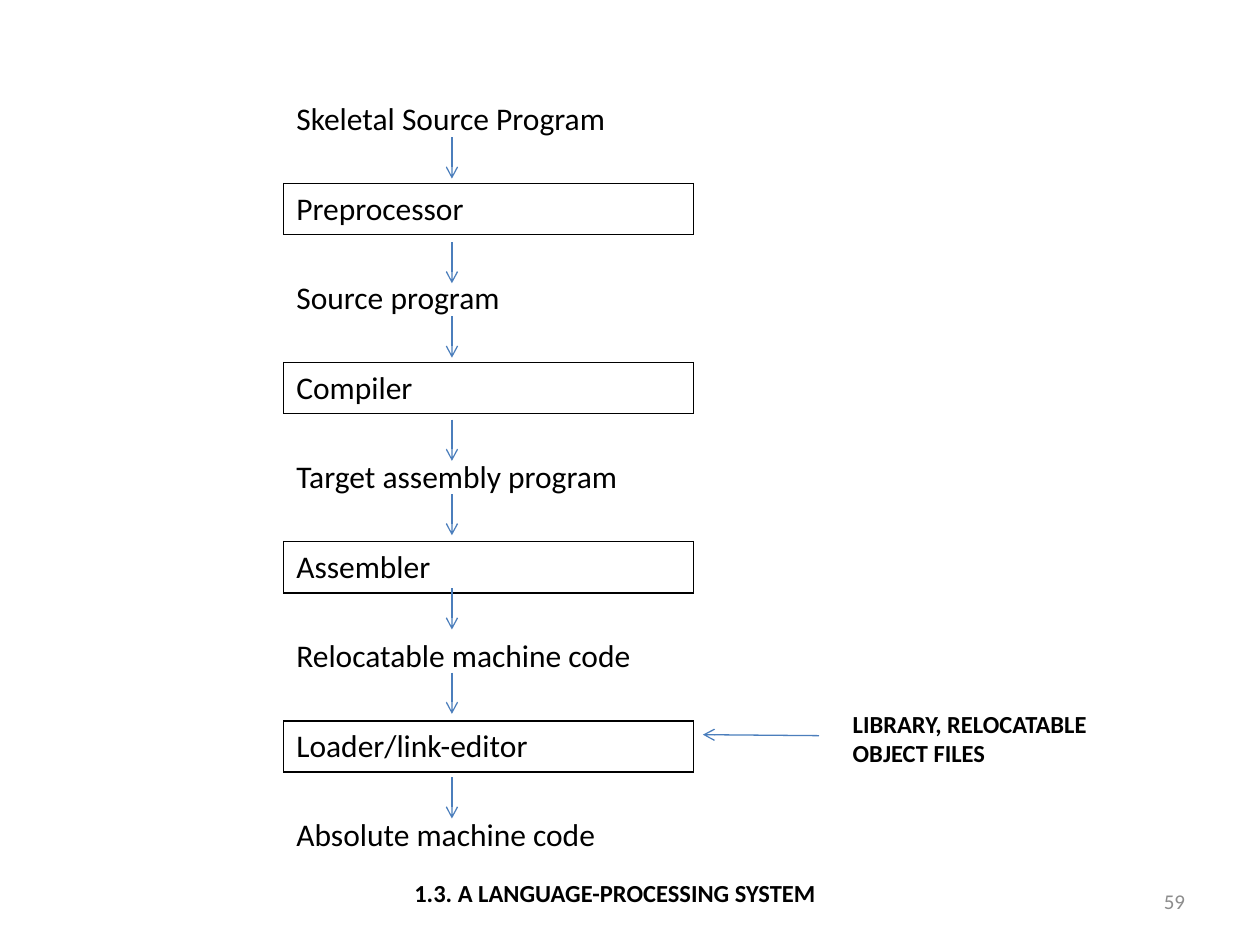
from lxml import etree
from pptx import Presentation
from pptx import util as u
from pptx.dml.color import RGBColor
from pptx.enum import shapes, text
from pptx.oxml.ns import qn

BLACK, GREY, BLUE = "000000", "8C8C8C", "4B7EBC"
STAGES = [
    "Skeletal Source Program", "Preprocessor", "Source program",
    "Compiler", "Target assembly program", "Assembler",
    "Relocatable machine code", "Loader/link-editor", "Absolute machine code",
]
END_ROW, BOX_ROW, GAP_ROW = 1.8, 1.03, 2.58
ARROW_X, ARROW_LEN = 9.11, 0.83
ARROW_TOPS = [2.77, 4.88, 6.38, 8.46, 9.96, 11.86, 13.56, 15.67]


def rgb(color):
    return RGBColor.from_string(color)


def set_attrs(obj, values):
    for name, value in values.items():
        setattr(obj, name, value)


def write(p, words, size, color=BLACK, bold=False):
    r = p.add_run()
    r.text = words
    set_attrs(r.font, {"name": "Calibri", "size": u.Pt(size), "bold": bold})
    r.font.color.rgb = rgb(color)


def add_label(s, box, words, size, align, color=BLACK, bold=False,
              anchor=text.MSO_ANCHOR.TOP):
    tf = s.shapes.add_textbox(*map(u.Cm, box)).text_frame
    set_attrs(tf, {"word_wrap": True, "vertical_anchor": anchor})
    p = tf.paragraphs[0]
    p.alignment = align
    write(p, words, size, color, bold)


def add_arrow(s, x1, y1, x2, y2):
    c = s.shapes.add_connector(shapes.MSO_CONNECTOR.STRAIGHT,
                               *map(u.Cm, (x1, y1, x2, y2)))
    c.line.color.rgb = rgb(BLUE)
    c.line.width = u.Pt(0.75)
    etree.SubElement(c.line._get_or_add_ln(), qn("a:tailEnd"), type="arrow")
    etree.SubElement(c._element.spPr, qn("a:effectLst"))


def set_borders(cell, visible):
    tcPr = cell._tc.get_or_add_tcPr()
    for side in "LRTB":
        ln = etree.SubElement(tcPr, qn("a:ln" + side), w=str(u.Pt(1)))
        if side in visible:
            fill = etree.SubElement(ln, qn("a:solidFill"))
            etree.SubElement(fill, qn("a:srgbClr"), val=BLACK)
        else:
            etree.SubElement(ln, qn("a:noFill"))


def add_stages(s):
    last = len(STAGES) - 1
    heights = [END_ROW if i in (0, last) else BOX_ROW if i % 2 else GAP_ROW
               for i in range(last + 1)]
    frame = s.shapes.add_table(len(STAGES), 1, u.Cm(5.72), u.Cm(1.9),
                               u.Cm(8.26), u.Cm(sum(heights)))
    table = frame.table
    set_attrs(table, {"first_row": False, "horz_banding": False})
    for i, (words, height) in enumerate(zip(STAGES, heights)):
        table.rows[i].height = u.Cm(height)
        cell = table.cell(i, 0)
        below_box = i > 0 and i % 2 == 0
        cell.margin_top = u.Cm(0.9 if below_box else 0.13)
        sides = "LRTB" if i % 2 else {0: "B", last: "T"}.get(i, "TB")
        set_borders(cell, sides)
        cell.fill.background()
        write(cell.text_frame.paragraphs[0], words, 18)


def main():
    prs = Presentation()
    set_attrs(prs, {"slide_width": u.Cm(25.4), "slide_height": u.Cm(19.05)})
    s = prs.slides.add_slide(prs.slide_layouts[6])
    align = text.PP_ALIGN
    add_label(s, (16.94, 14.17, 6.78, 1.42),
              "LIBRARY, RELOCATABLE OBJECT FILES", 14, align.LEFT, bold=True)
    add_stages(s)
    for top in ARROW_TOPS:
        add_arrow(s, ARROW_X, top, ARROW_X, top + ARROW_LEN)
    add_arrow(s, 16.51, 14.83, 14.17, 14.81)
    add_label(s, (1.07, 17.58, 22.66, 0.99),
              "1.3. A LANGUAGE-PROCESSING SYSTEM", 14, align.CENTER, bold=True)
    add_label(s, (18.21, 17.65, 5.93, 1.02), "59", 12, align.RIGHT, GREY,
              anchor=text.MSO_ANCHOR.MIDDLE)
    prs.save("out.pptx")


if __name__ == "__main__":
    main()
